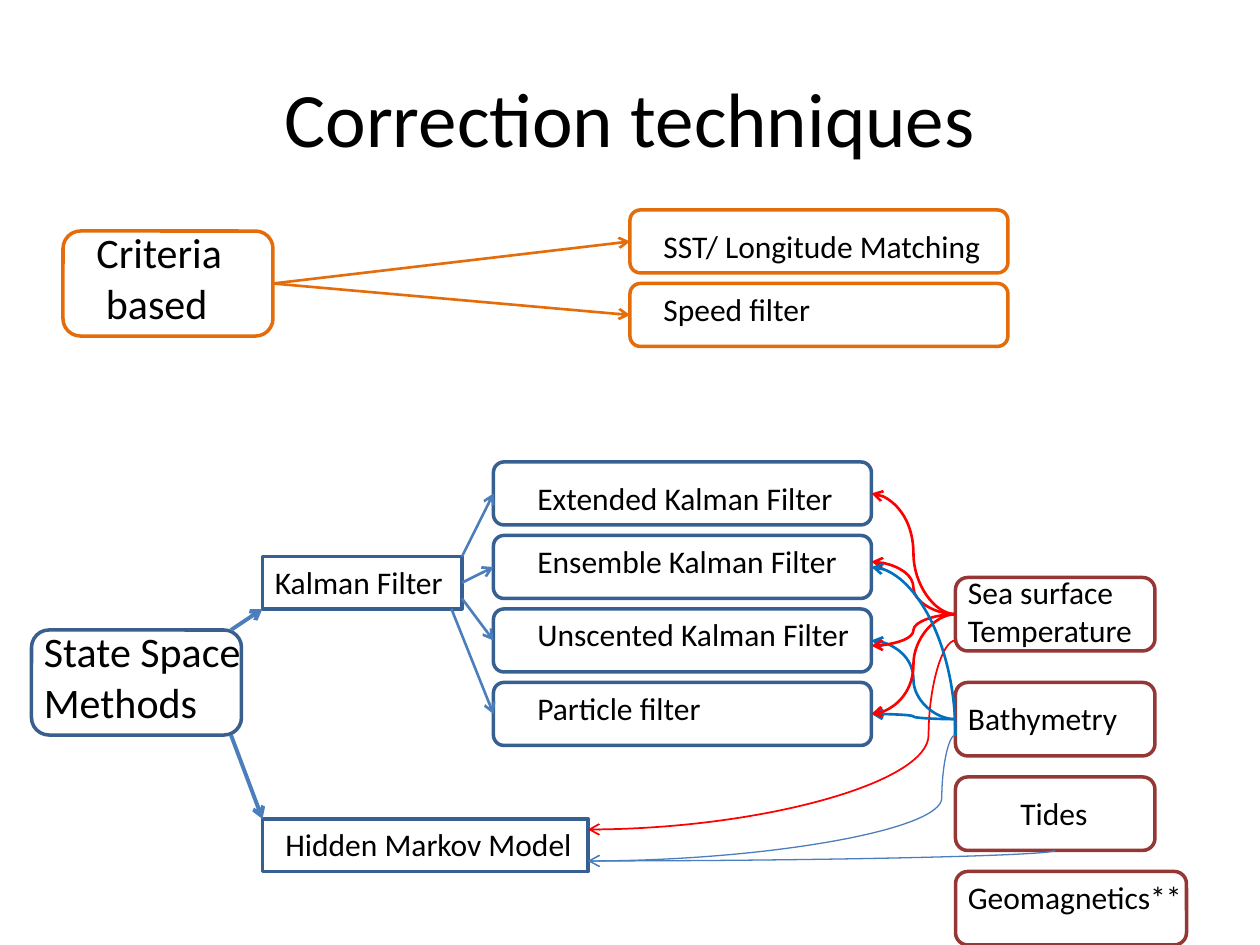
import pptx
import pptx.dml.color
import pptx.enum.shapes
import pptx.enum.text
import pptx.oxml
import pptx.oxml.ns
import pptx.util

Pt = pptx.util.Pt
SHAPE = pptx.enum.shapes.MSO_SHAPE
CONNECTOR = pptx.enum.shapes.MSO_CONNECTOR
ANCHOR = pptx.enum.text.MSO_ANCHOR
ALIGN = pptx.enum.text.PP_ALIGN

THEME = {
    "font": "Calibri",
    "title": 44, "group": 24, "label": 18,
    "text": "000000", "criteria": "E46C0A", "state": "3A5F8C", "method": "376092",
    "data": "953735", "arrow": "4B7EBC", "temperature": "FF0000", "bathymetry": "0070C0",
}
OUTLINE = 2
LEFT, RIGHT = 1, 3

FILTERS = ["Extended Kalman Filter", "Ensemble Kalman Filter",
           "Unscented Kalman Filter", "Particle filter"]
FILTER_TOP, FILTER_STEP = 264, 42

BOXES = {
    "Criteria": (36, 132, 120, 60, "criteria"),
    "State": (18, 360, 120, 60, "state"),
    "Matching": (360, 120, 216, 36, "criteria"),
    "Speed": (360, 162, 216, 36, "criteria"),
    "Kalman": (150, 318, 114, 30, "method"),
    "Markov": (150, 468, 186, 30, "method"),
    "Temperature": (546, 330, 114, 42, "data"),
    "Bathymetry": (546, 390, 114, 42, "data"),
    "Tides": (546, 444, 114, 42, "data"),
    "Geomagnetics": (546, 498, 132, 42, "data"),
}
for index, name in enumerate(FILTERS):
    BOXES[name] = (282, FILTER_TOP + index * FILTER_STEP, 216, 36, "method")
SQUARE_BOXES = {"Kalman", "Markov"}

LABELS = [
    (["Criteria", " based"], 48, 126, 90, 65.5, "group", True),
    (["State Space Methods"], 18, 354, 150, 65.5, "group", True),
    (["SST/ Longitude Matching"], 372, 126, 240, 29, "label", True),
    (["Speed filter"], 372, 162, 132, 29, "label", True),
    (["Kalman Filter"], 150, 318, 120, 29, "label", True),
    (["Hidden Markov Model"], 156, 468, 192, 29, "label", True),
    (["Sea surface Temperature"], 546, 324, 120, 51, "label", True),
    (["Bathymetry"], 546, 396, 101, 29, "label", False),
    (["Tides"], 576, 450, 53, 29, "label", False),
    (["Geomagnetics**"], 546, 498, 138, 29, "label", False),
]
for name, top in zip(FILTERS, (270, 306, 348, 390)):
    LABELS.append(([name], 300, top, 210, 29, "label", True))

ARROWS = [
    (("Criteria", RIGHT), ("Matching", LEFT), "criteria", 1.5),
    (("Criteria", RIGHT), ("Speed", LEFT), "criteria", 1.5),
    ((132, 360), (150, 348), "arrow", 2.25),
    ((132, 420), (150, 468), "arrow", 2.25),
]
KALMAN_STARTS = [(264, 318), ("Kalman", RIGHT), (264, 342), (258, 348)]
for start, name in zip(KALMAN_STARTS, FILTERS):
    ARROWS.append((start, (name, LEFT), "arrow", 1.5))

S_CURVES = [
    ((546, 420), (336, 492), "arrow", 0.75, 3700),
    ((546, 366), (336, 474), "temperature", 1, 7300),
    ((546, 411), (498, 366), "bathymetry", 1.5, 50000),
    ((546, 411), (498, 408), "bathymetry", 1.5, 50000),
]
for target in (408, 369, 321, 282):
    S_CURVES.append(((546, 351), (498, target), "temperature", 1.5, 50000))

QUARTER_CURVES = [
    ((498, 324), (546, 420), "bathymetry", 1.5),
    ((336, 492), (603, 486), "arrow", 0.75),
]


def color(name):
    return pptx.dml.color.RGBColor.from_string(THEME[name])


def apply(target, values):
    for attribute, value in values.items():
        setattr(target, attribute, value)


def element(tag, **attributes):
    node = pptx.oxml.parse_xml(f'<a:{tag} {pptx.oxml.ns.nsdecls("a")}/>')
    for key, value in attributes.items():
        node.set(key, str(value))
    return node


def add_text(slide, lines, left, top, width, height, size, wrap,
             anchor=ANCHOR.TOP, alignment=ALIGN.LEFT):
    box = slide.shapes.add_textbox(Pt(left), Pt(top), Pt(width), Pt(height))
    apply(box.text_frame, {"word_wrap": wrap, "vertical_anchor": anchor})
    box.text_frame.text = "\n".join(lines)
    for paragraph in box.text_frame.paragraphs:
        paragraph.alignment = alignment
        apply(paragraph.font, {"name": THEME["font"], "size": Pt(THEME[size])})
        paragraph.font.color.rgb = color("text")


def add_box(slide, name):
    left, top, width, height, line_color = BOXES[name]
    kind = SHAPE.RECTANGLE if name in SQUARE_BOXES else SHAPE.ROUNDED_RECTANGLE
    shape = slide.shapes.add_shape(kind, Pt(left), Pt(top), Pt(width), Pt(height))
    shape.shadow.inherit = False
    shape.fill.background()
    shape.line.color.rgb = color(line_color)
    shape.line.width = Pt(OUTLINE)
    return shape


def locate(end):
    if end[0] not in BOXES:
        return end
    name, side = end
    left, top, width, height, _ = BOXES[name]
    return (left + width if side == RIGHT else left), top + height / 2


def add_line(slide, kind, begin, end, line_color, width, arrow="tailEnd"):
    points = [Pt(value) for value in (*locate(begin), *locate(end))]
    connector = slide.shapes.add_connector(kind, *points)
    connector.line.color.rgb = color(line_color)
    connector.line.width = Pt(width)
    properties = connector._element.spPr
    properties.find(pptx.oxml.ns.qn("a:ln")).append(element(arrow, type="arrow"))
    properties.append(element("effectLst"))
    return connector, properties.find(pptx.oxml.ns.qn("a:prstGeom"))


def main():
    presentation = pptx.Presentation()
    apply(presentation, {"slide_width": Pt(720), "slide_height": Pt(540)})
    slide = presentation.slides.add_slide(presentation.slide_layouts[6])

    add_text(slide, ["Correction techniques"], 36, 21.6, 648, 90, "title", True,
             ANCHOR.MIDDLE, ALIGN.CENTER)
    shapes = {name: add_box(slide, name) for name in BOXES}

    for begin, end, line_color, width in ARROWS:
        connector, _ = add_line(slide, CONNECTOR.STRAIGHT, begin, end, line_color, width)
        for point, join in ((begin, connector.begin_connect), (end, connector.end_connect)):
            if point[0] in shapes:
                join(shapes[point[0]], point[1])

    for begin, end, line_color, width, bend in S_CURVES:
        _, geometry = add_line(slide, CONNECTOR.CURVE, begin, end, line_color, width)
        adjustments = geometry.find(pptx.oxml.ns.qn("a:avLst"))
        adjustments.append(element("gd", name="adj1", fmla=f"val {bend}"))

    for begin, end, line_color, width in QUARTER_CURVES:
        _, geometry = add_line(slide, CONNECTOR.CURVE, begin, end, line_color, width, "headEnd")
        geometry.set("prst", "curvedConnector2")

    for label in LABELS:
        add_text(slide, *label)

    presentation.save("out.pptx")


if __name__ == "__main__":
    main()
